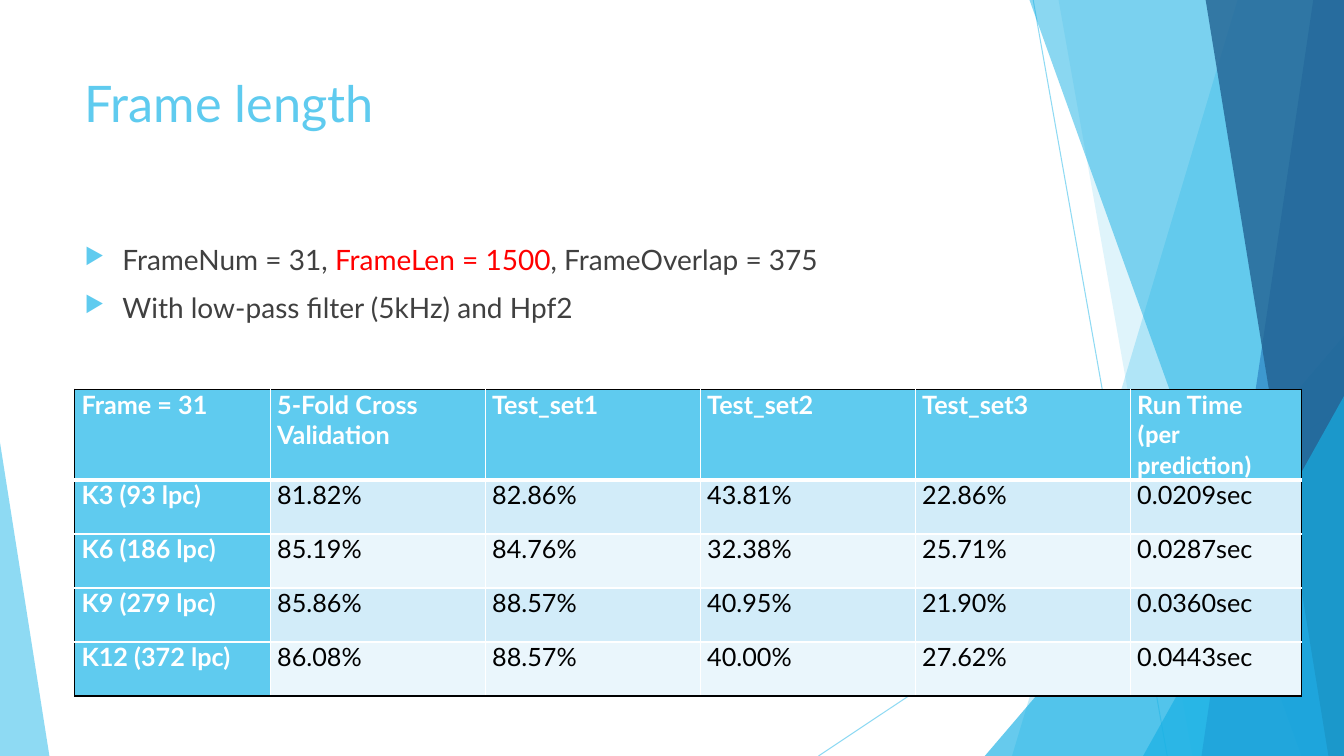
import lxml.etree
import pptx
import pptx.dml.color
import pptx.enum.shapes
import pptx.oxml.ns
import pptx.util

Pt = pptx.util.Pt
qn = pptx.oxml.ns.qn
WIDTH, HEIGHT = 960, 540
COLORS = {
    "sky": "5FCBEF", "cyan": "17B0E4", "blue": "2E83C3", "navy": "226292",
    "text": "404040", "red": "FF0000", "white": "FFFFFF", "black": "000000",
    "band_dark": "D2ECF9", "band_light": "EAF6FC",
}


def rgb(name):
    return pptx.dml.color.RGBColor.from_string(COLORS[name])


def add_child(parent, tag, **attributes):
    child = lxml.etree.SubElement(parent, qn(tag))
    for key, value in attributes.items():
        child.set(key, str(value))
    return child


presentation = pptx.Presentation()
presentation.slide_width, presentation.slide_height = Pt(WIDTH), Pt(HEIGHT)
slide = presentation.slides.add_slide(presentation.slide_layouts[6])
shapes = slide.shapes

for x1, y1, x2, y2 in [(738, 0, 833.76, HEIGHT), (WIDTH, 290.16, 584.64, HEIGHT)]:
    ray = shapes.add_connector(
        pptx.enum.shapes.MSO_CONNECTOR.STRAIGHT, Pt(x1), Pt(y1), Pt(x2), Pt(y2))
    ray.line.color.rgb = rgb("sky")
    ray.line.width = Pt(0.75)
    for color in ray.element.iter(qn("a:srgbClr")):
        add_child(color, "a:alpha", val=70000)
    add_child(ray.element.spPr, "a:effectLst")

facets = [
    ("band", (884.16, 722.88), "sky", 36),
    ("band", (756, 851.76), "sky", 20),
    ("triangle", (703.44, 239.76, 256.56, 1), "cyan", 66),
    ("band", (735.12, 929.52), "cyan", 50),
    ("band", (938.16, 858.24), "blue", 70),
    ("band", (861.12, 948.96), "navy", 80),
    ("triangle", (816.48, 282.96, 143.52, 1), "cyan", 66),
    ("triangle", (0, 316.08, 35.28, 0), "sky", 70),
]
for kind, geometry, color_name, opacity in facets:
    if kind == "band":
        top_x, bottom_x = geometry
        outline = shapes.build_freeform(Pt(top_x), Pt(-0.72))
        outline.add_line_segments(
            [(Pt(WIDTH), Pt(-0.72)), (Pt(WIDTH), Pt(HEIGHT)), (Pt(bottom_x), Pt(HEIGHT))])
        facet = outline.convert_to_shape()
    else:
        left, top, width, apex = geometry
        facet = shapes.add_shape(
            pptx.enum.shapes.MSO_SHAPE.ISOSCELES_TRIANGLE,
            Pt(left), Pt(top), Pt(width), Pt(HEIGHT - top))
        facet.adjustments[0] = apex
    facet.shadow.inherit = False
    facet.fill.solid()
    facet.fill.fore_color.rgb = rgb(color_name)
    facet.line.fill.background()
    for color in facet.element.iter(qn("a:srgbClr")):
        add_child(color, "a:alpha", val=opacity * 1000)

title = shapes.add_textbox(Pt(53.3), Pt(48), Pt(677), Pt(104)).text_frame
title.word_wrap = True
title.text = "Frame length"
title_font = title.paragraphs[0].font
title_font.name, title_font.size = "Lato", Pt(36)
title_font.color.rgb = rgb("sky")

settings = shapes.add_textbox(Pt(53.3), Pt(170), Pt(677), Pt(305)).text_frame
settings.word_wrap = True
bullet_lines = [
    [("FrameNum = 31, ", "text"), ("FrameLen = 1500", "red"),
     (", FrameOverlap = 375", "text")],
    [("With low-pass filter (5kHz) and Hpf2", "text")],
]
for index, pieces in enumerate(bullet_lines):
    line = settings.add_paragraph() if index else settings.paragraphs[0]
    if index:
        line.space_before = Pt(10)
    properties = line._p.get_or_add_pPr()
    properties.set("marL", str(Pt(27)))
    properties.set("indent", str(-Pt(27)))
    bullet_color = add_child(properties, "a:buClr")
    add_child(bullet_color, "a:srgbClr", val=COLORS["sky"])
    add_child(properties, "a:buSzPct", val=80000)
    add_child(properties, "a:buChar", char="▶")
    line.font.name, line.font.size = "Lato", Pt(20)
    for words, color_name in pieces:
        run = line.add_run()
        run.text = words
        run.font.color.rgb = rgb(color_name)

results = [
    ["Frame = 31", "5-Fold Cross Validation", "Test_set1", "Test_set2", "Test_set3",
     "Run Time\n(per prediction)"],
    ["K3 (93 lpc)", "81.82%", "82.86%", "43.81%", "22.86%", "0.0209sec"],
    ["K6 (186 lpc)", "85.19%", "84.76%", "32.38%", "25.71%", "0.0287sec"],
    ["K9 (279 lpc)", "85.86%", "88.57%", "40.95%", "21.90%", "0.0360sec"],
    ["K12 (372 lpc)", "86.08%", "88.57%", "40.00%", "27.62%", "0.0443sec"],
]
column_widths = [139.7] + [153.6] * 4 + [122.6]
row_heights = [42] + [38.6] * 4
last_row, last_column = len(results) - 1, len(column_widths) - 1
table = shapes.add_table(
    len(results), len(column_widths), Pt(53.3), Pt(278),
    Pt(sum(column_widths)), Pt(sum(row_heights))).table
for column, width in zip(table.columns, column_widths):
    column.width = Pt(width)
for row, height in zip(table.rows, row_heights):
    row.height = Pt(height)

for r, values in enumerate(results):
    for c, value in enumerate(values):
        cell = table.cell(r, c)
        cell.margin_left = cell.margin_right = Pt(5)
        cell.margin_top = cell.margin_bottom = Pt(0)
        heading = r == 0 or c == 0
        cell.text = value
        for paragraph in cell.text_frame.paragraphs:
            font = paragraph.font
            font.name = "Calibri" if paragraph.text == "(per prediction)" else "Lato"
            font.size, font.bold = Pt(18), heading
            font.color.rgb = rgb("white" if heading else "black")
        borders = [
            ("a:lnL", c == 0, 1),
            ("a:lnR", c == last_column, 1),
            ("a:lnT", r == 0, 3 if r == 1 else 1),
            ("a:lnB", r == last_row, 3 if r == 0 else 1),
        ]
        for side, outer, weight in borders:
            border = add_child(cell._tc.get_or_add_tcPr(), side, w=Pt(weight))
            border_fill = add_child(border, "a:solidFill")
            add_child(border_fill, "a:srgbClr", val=COLORS["black" if outer else "white"])
        cell.fill.solid()
        body_fill = "band_dark" if r % 2 else "band_light"
        cell.fill.fore_color.rgb = rgb("sky" if heading else body_fill)

presentation.save("out.pptx")
